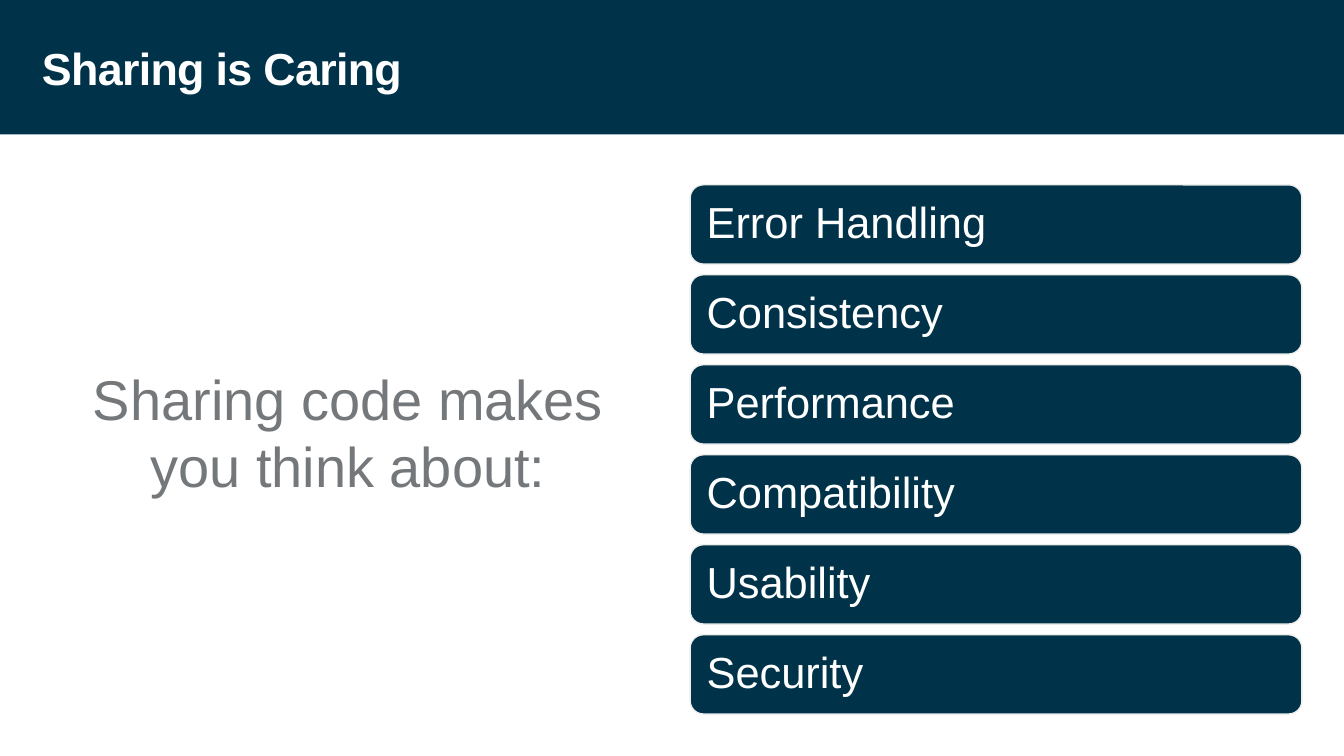
import pptx
import pptx.util
import pptx.dml.color
import pptx.enum.shapes
import pptx.enum.text
import pptx.oxml.ns
import lxml.etree

Pt = pptx.util.Pt
Shape = pptx.enum.shapes.MSO_SHAPE
Align = pptx.enum.text.PP_ALIGN

# Content
TITLE = "Sharing is Caring"
LEAD = "Sharing code makes you think about:"
TOPICS = ["Error Handling", "Consistency", "Performance",
          "Compatibility", "Usability", "Security"]

THEME = {
    "font": "Arial",
    "navy": "003349", "gray": "75787B", "white": "FFFFFF", "edge": "EEEEED",
    "title": 32, "lead": 40, "topic": 31,
}

# Layout
WIDTH, HEIGHT = 960, 540
BAND = 96
EDGE = 30
TOP, BASE = 132, 510
COL = 437
BAR = 56.6
STEP = (BASE - TOP - BAR) / (len(TOPICS) - 1)


def color(name):
    return pptx.dml.color.RGBColor.from_string(THEME[name])


def place(shape, left, top, width, height):
    shape.left, shape.top = Pt(left), Pt(top)
    shape.width, shape.height = Pt(width), Pt(height)


def write(shape, text, size, ink, align, bold=False, inset=(0, 0, 0, 0)):
    frame = shape.text_frame
    frame.text = text
    frame.word_wrap = True
    frame.auto_size = pptx.enum.text.MSO_AUTO_SIZE.NONE
    frame.vertical_anchor = pptx.enum.text.MSO_ANCHOR.MIDDLE
    (frame.margin_left, frame.margin_top,
     frame.margin_right, frame.margin_bottom) = map(Pt, inset)
    para = frame.paragraphs[0]
    para.alignment = align
    para.space_before = Pt(0)
    return para, size, ink, bold


def style(para, size, ink, bold):
    font = para.font
    font.name, font.size, font.bold = THEME["font"], Pt(THEME[size]), bold
    font.color.rgb = color(ink)


def block(slide, kind, *area):
    shape = slide.shapes.add_shape(kind, *map(Pt, area))
    shape.shadow.inherit = False
    shape.fill.solid()
    shape.fill.fore_color.rgb = color("navy")
    return shape


def main():
    deck = pptx.Presentation()
    deck.slide_width, deck.slide_height = Pt(WIDTH), Pt(HEIGHT)
    slide = deck.slides.add_slide(deck.slide_layouts[1])

    # Header band, behind the title
    band = block(slide, Shape.RECTANGLE, 0, 0, WIDTH, BAND)
    band.line.fill.background()
    slide.shapes._spTree.insert(2, band._element)

    # Title
    title = slide.shapes.title
    place(title, EDGE, 18, 762, 61)
    look = write(title, TITLE, "title", "white", Align.LEFT, bold=True)
    style(*look)
    look[0].runs[0]._r.get_or_add_rPr().set("spc", "-50")

    # Lead text, set slightly above the middle
    body = slide.placeholders[1]
    place(body, EDGE, TOP, COL, BASE - TOP)
    look = write(body, LEAD, "lead", "gray", Align.CENTER,
                 inset=(0, 0, 0, 25))
    props = look[0]._p.get_or_add_pPr()
    props.set("marL", "0")
    props.set("indent", "0")
    lxml.etree.SubElement(props, pptx.oxml.ns.qn("a:buNone"))
    style(*look)

    # Topic bars
    for row, topic in enumerate(TOPICS):
        bar = block(slide, Shape.ROUNDED_RECTANGLE,
                    WIDTH - EDGE - COL, TOP + row * STEP, COL, BAR)
        bar.line.color.rgb = color("edge")
        bar.line.width = Pt(1)
        look = write(bar, topic, "topic", "white", Align.LEFT,
                     inset=(9, 9, 9, 9))
        look[0].line_spacing = 0.9
        style(*look)

    deck.save("out.pptx")


if __name__ == "__main__":
    main()
